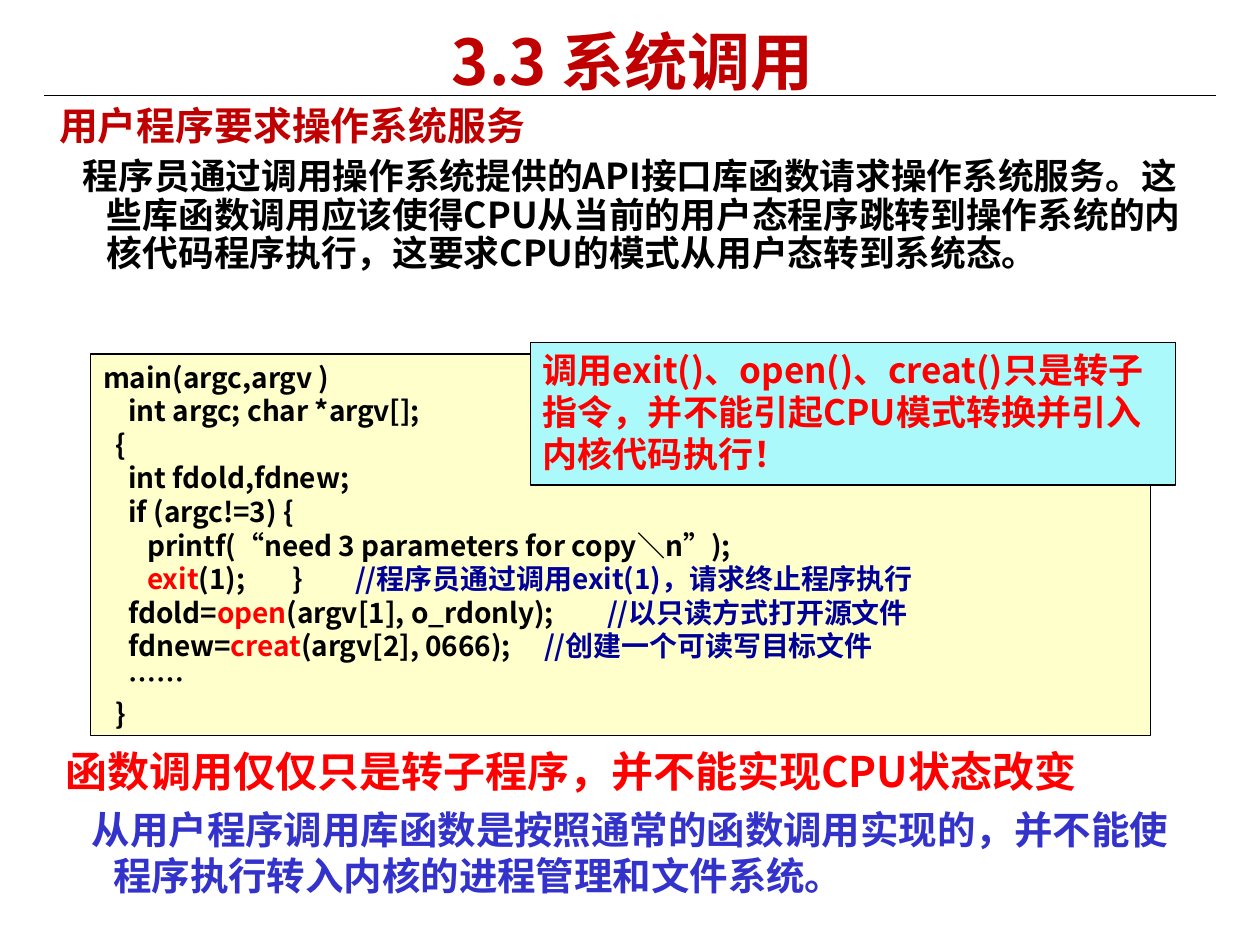
from dataclasses import dataclass

from lxml import etree
from pptx import Presentation
from pptx.dml.color import RGBColor
from pptx.enum.shapes import MSO_CONNECTOR, MSO_SHAPE
from pptx.enum.text import MSO_ANCHOR, PP_ALIGN
from pptx.oxml.ns import qn
from pptx.util import Inches, Pt

RECT = MSO_SHAPE.RECTANGLE
STRAIGHT = MSO_CONNECTOR.STRAIGHT
TOP, MIDDLE = MSO_ANCHOR.TOP, MSO_ANCHOR.MIDDLE
LEFT, CENTER = PP_ALIGN.LEFT, PP_ALIGN.CENTER
WIDE, HIGH = Inches(10), Inches(7.5)
STEP = 0.05
HANG = 0.38


@dataclass(frozen=True)
class Theme:
    font: str = "Noto Sans CJK SC"
    ink: str = "000000"
    dark: str = "C00000"
    red: str = "FF0000"
    navy: str = "000099"
    blue: str = "3333CC"
    cream: str = "FFFFCC"
    aqua: str = "ABF9FB"
    title: float = 36
    head: float = 22.2
    body: float = 20.4
    code: float = 16
    call: float = 20
    claim: float = 24
    note: float = 22
    rule: float = 0.75


T = Theme()

CODE = [
    (0, [], [("main(argc,argv )", T.ink)]),
    (4, [], [("int argc; char *argv[];", T.ink)]),
    (2, [], [("{", T.ink)]),
    (4, [], [("int fdold,fdnew;", T.ink)]),
    (4, [], [("if (argc!=3) {", T.ink)]),
    (7, [], [("printf(“need 3 parameters for copy＼n”);", T.ink)]),
    (7, [1.33, 2.88], [("exit", T.red), ("(1);\t}\t", T.ink),
                       ("//程序员通过调用exit(1)，请求终止程序执行", T.navy)]),
    (4, [3.83], [("fdold=", T.ink), ("open", T.red),
                 ("(argv[1], o_rdonly);\t", T.ink),
                 ("//以只读方式打开源文件", T.navy)]),
    (4, [3.7], [("fdnew=", T.ink), ("creat", T.red),
                ("(argv[2], 0666);\t", T.ink),
                ("//创建一个可读写目标文件", T.navy)]),
    (4, [], [("……", T.ink)]),
    (2, [], [("}", T.ink)]),
]


def place(left, top, wide, high):
    return [round(part * side / 100) for part, side in
            zip((left, top, wide, high), (WIDE, HIGH, WIDE, HIGH))]


def style(run, size, color):
    font = run.font
    font.name, font.size, font.bold = T.font, Pt(size), True
    font.color.rgb = RGBColor.from_string(color)
    asian = etree.SubElement(run._r.get_or_add_rPr(), qn("a:ea"))
    asian.set("typeface", T.font)


def indent(para, margin, first):
    props = para._p.get_or_add_pPr()
    props.set("marL", str(Inches(margin)))
    props.set("indent", str(Inches(first)))
    return props


def write(para, text, size, color, before=0, align=LEFT):
    para.text = text
    para.alignment = align
    para.space_before = Pt(before)
    style(para.runs[0], size, color)


def setup(frame, anchor=TOP):
    frame.word_wrap = True
    frame.vertical_anchor = anchor
    return frame


def add_text(slide, box, anchor=TOP):
    return setup(slide.shapes.add_textbox(*place(*box)).text_frame, anchor)


def add_panel(slide, box, fill):
    panel = slide.shapes.add_shape(RECT, *place(*box))
    panel.shadow.inherit = False
    panel.fill.solid()
    panel.fill.fore_color.rgb = RGBColor.from_string(fill)
    panel.line.color.rgb = RGBColor.from_string(T.ink)
    panel.line.width = Pt(T.rule)
    return setup(panel.text_frame)


def add_rule(slide, left, right, top):
    x, y, wide, _ = place(left, top, right - left, 0)
    rule = slide.shapes.add_connector(STRAIGHT, x, y, x + wide, y)
    rule.line.color.rgb = RGBColor.from_string(T.ink)
    rule.line.width = Pt(T.rule)
    etree.SubElement(rule._element.spPr, qn("a:effectLst"))


def add_point(slide, box, head, body, first, space=None):
    frame = add_text(slide, box)
    pairs = ((head, -HANG, 6), (body, first, 5.5))
    for row, (part, start, before) in enumerate(pairs):
        para = frame.add_paragraph() if row else frame.paragraphs[0]
        write(para, *part, before)
        indent(para, HANG, start)
        para.line_spacing = space


def add_code(slide, box):
    frame = add_panel(slide, box, T.cream)
    for row, (depth, stops, parts) in enumerate(CODE):
        para = frame.add_paragraph() if row else frame.paragraphs[0]
        para.alignment = LEFT
        props = indent(para, 0, depth * STEP)
        if stops:
            tabs = etree.SubElement(props, qn("a:tabLst"))
            for stop in stops:
                tab = etree.SubElement(tabs, qn("a:tab"))
                tab.set("pos", str(Inches(stop)))
                tab.set("algn", "l")
        for text, color in parts:
            run = para.add_run()
            run.text = text
            style(run, T.code, color)


def main():
    deck = Presentation()
    deck.slide_width, deck.slide_height = WIDE, HIGH
    slide = deck.slides.add_slide(deck.slide_layouts[6])
    add_rule(slide, 3.5, 96.5, 10.13)
    title = add_text(slide, (3.7, 2.8, 93, 7.2), MIDDLE)
    write(title.paragraphs[0], "3.3 系统调用", T.title, T.dark, align=CENTER)
    add_point(
        slide, (3.7, 10.67, 92.5, 26.93),
        ("用户程序要求操作系统服务", T.head, T.dark),
        ("程序员通过调用操作系统提供的API接口库函数请求操作系统服务。"
         "这些库函数调用应该使得CPU从当前的用户态程序跳转到操作系统的内核代码程序执行，"
         "这要求CPU的模式从用户态转到系统态。", T.body, T.ink),
        -0.19, 0.9)
    add_code(slide, (7.2, 37.47, 84.1, 40.4))
    call = add_panel(slide, (42.1, 36.27, 51.2, 15.07), T.aqua)
    write(call.paragraphs[0],
          "调用exit()、open()、creat()只是转子指令，并不能引起CPU模式转换并引入内核代码执行！",
          T.call, T.red, 5)
    add_point(
        slide, (4.2, 78.27, 92.5, 16.4),
        ("函数调用仅仅只是转子程序，并不能实现CPU状态改变", T.claim, T.red),
        ("从用户程序调用库函数是按照通常的函数调用实现的，"
         "并不能使程序执行转入内核的进程管理和文件系统。", T.note, T.blue),
        -0.17)
    deck.save("out.pptx")


if __name__ == "__main__":
    main()
